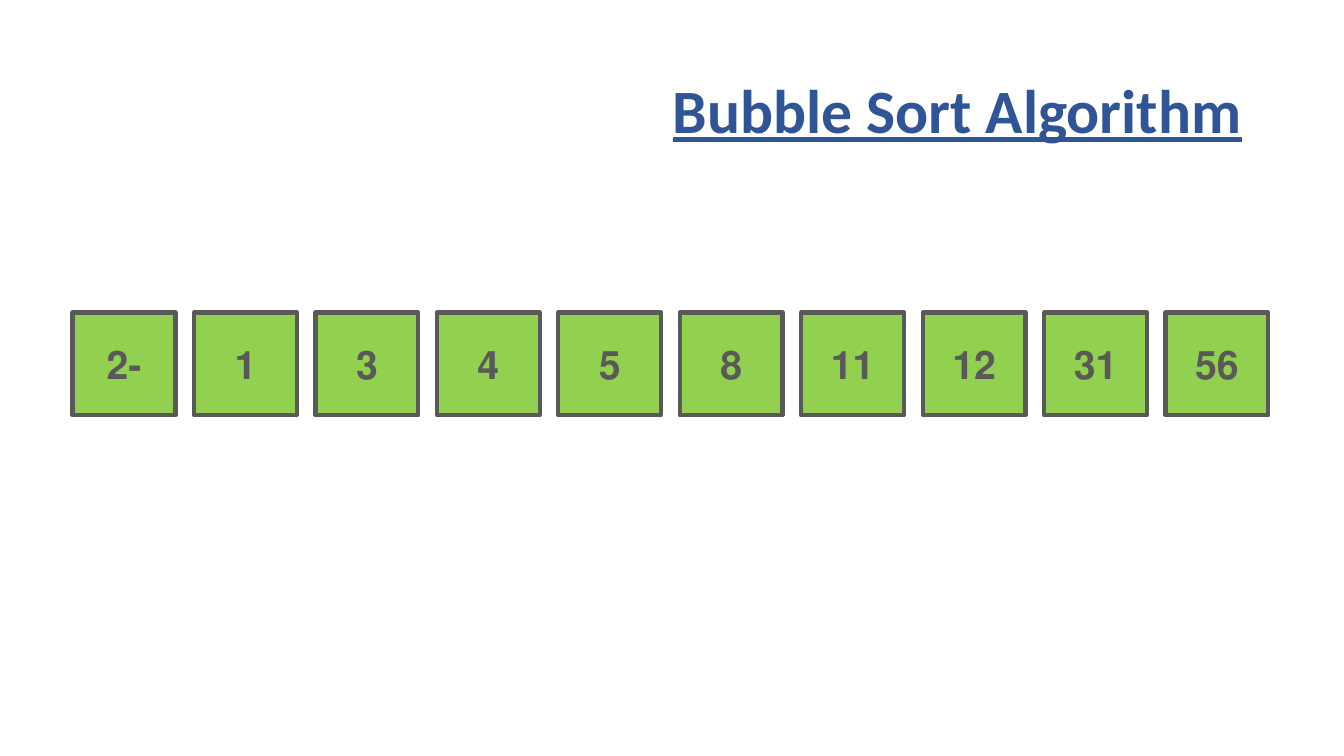
import pptx
import pptx.dml.color
import pptx.enum.shapes
import pptx.enum.text
import pptx.util

Inches = pptx.util.Inches
Pt = pptx.util.Pt
ALIGN = pptx.enum.text.PP_ALIGN
SORTED_VALUES = [-2, 1, 3, 4, 5, 8, 11, 12, 31, 56]


def rgb(hex_colour):
    return pptx.dml.color.RGBColor.from_string(hex_colour)


def write_rtl(frame, text, size, colour, alignment):
    """Write one bold right-to-left paragraph, centred vertically."""
    frame.word_wrap = True
    frame.vertical_anchor = pptx.enum.text.MSO_ANCHOR.MIDDLE
    paragraph = frame.paragraphs[0]
    paragraph.text = text
    paragraph.alignment = alignment
    paragraph._p.get_or_add_pPr().set("rtl", "1")
    paragraph.font.name = "Calibri"
    paragraph.font.size = Pt(size)
    paragraph.font.bold = True
    paragraph.font.color.rgb = rgb(colour)
    return paragraph


def add_heading(slide, left, top, width, height):
    heading = slide.shapes.add_textbox(
        Inches(left), Inches(top), Inches(width), Inches(height))
    line = write_rtl(heading.text_frame, "Bubble Sort Algorithm", 44, "2F5597", ALIGN.RIGHT)
    line.font.underline = True
    line.line_spacing = 0.9


def add_array(slide, values, left, top, width, side):
    """Spread one square cell per value evenly across the width."""
    pitch = (width - side) / (len(values) - 1)
    for index, value in enumerate(values):
        cell = slide.shapes.add_shape(
            pptx.enum.shapes.MSO_SHAPE.RECTANGLE,
            Inches(left + index * pitch), Inches(top), Inches(side), Inches(side))
        cell.shadow.inherit = False
        cell.fill.solid()
        cell.fill.fore_color.rgb = rgb("92D050")
        cell.line.color.rgb = rgb("595959")
        cell.line.width = Pt(3)
        write_rtl(cell.text_frame, str(value), 28, "595959", ALIGN.CENTER)


def main():
    deck = pptx.Presentation()
    deck.slide_width = Inches(13.33)
    deck.slide_height = Inches(7.5)
    slide = deck.slides.add_slide(deck.slide_layouts[6])
    add_heading(slide, 0.92, 0.4, 11.5, 1.45)
    add_array(slide, SORTED_VALUES, 0.72, 3.1, 11.86, 1.02)
    deck.save("out.pptx")


if __name__ == "__main__":
    main()
